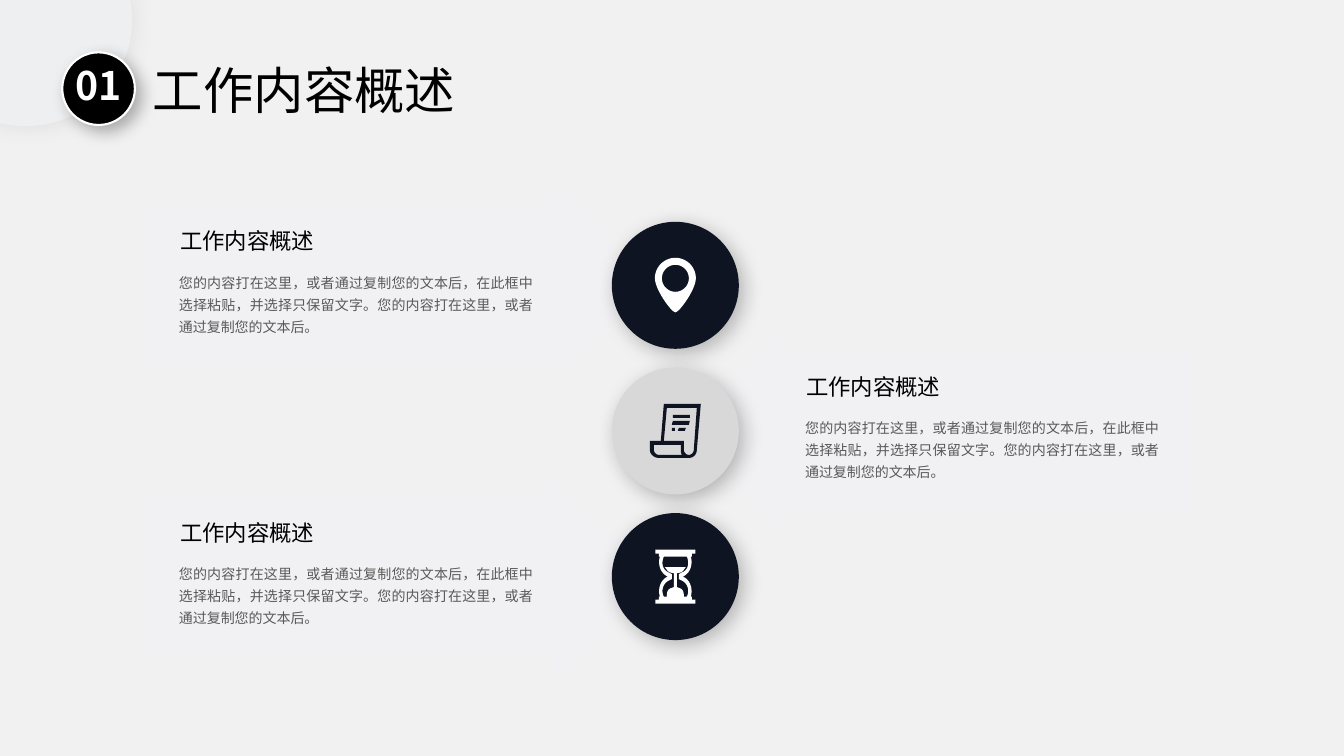
import math
from dataclasses import dataclass

from lxml import etree
from pptx import Presentation
from pptx import util as u
from pptx.dml.color import RGBColor
from pptx.enum import shapes, text
from pptx.oxml.ns import qn


@dataclass(frozen=True)
class Theme:
    """Colours, font and type sizes of the slide."""
    background: str = "F1F1F1"
    corner: str = "EDEFF0"
    arrow: str = "F1F1F3"
    dark: str = "0F1423"
    light: str = "D8D8D8"
    black: str = "000000"
    white: str = "FFFFFF"
    grey: str = "595959"
    font: str = "Noto Sans CJK SC"
    title: int = 36
    number: int = 28
    heading: int = 16
    body: int = 10


THEME = Theme()
HEADING = "工作内容概述"
BODY = ("您的内容打在这里，或者通过复制您的文本后，在此框中选择粘贴，"
        "并选择只保留文字。您的内容打在这里，或者通过复制您的文本后。")


def flatten(steps):
    """Turn points and (x1, y1, x2, y2, x, y) curves into plain points."""
    points = []
    for step in steps:
        if len(step) == 2:
            points.append(step)
            continue
        corners = [points[-1], step[:2], step[2:4], step[4:]]
        for index in range(1, 13):
            t = index / 12
            weights = ((1 - t) ** 3, 3 * t * (1 - t) ** 2, 3 * t * t * (1 - t), t ** 3)
            points.append(tuple(sum(w * corner[axis] for w, corner in zip(weights, corners))
                                for axis in (0, 1)))
    return points


def mirrored(steps):
    """Close a right-hand half outline with its reflection."""
    half = flatten(steps)
    return half + [(-x, y) for x, y in reversed(half)]


def arc(radius, centre_y, start, end):
    """Points along a circular arc, with angles in degrees."""
    angles = [math.radians(start + (end - start) * i / 36) for i in range(37)]
    return [(radius * math.cos(a), centre_y + radius * math.sin(a)) for a in angles]


def pin_outlines():
    """Outlines of the map pin."""
    return [mirrored(arc(20.5, -7, -90, 0) + [(20.5, 4, 4, 27, 0, 27)]),
            arc(13.5, -7, 0, 360)]


def scroll_outlines():
    """Outlines of the paper scroll."""
    contours = [
        [(25.5, -27), (21.5, 19), (21.5, 23, 18.5, 27, 13.5, 27), (-16.5, 27),
         (-21.5, 27, -25.5, 23, -25.5, 19), (-25.5, 10), (-14.5, 10), (-11.5, -27)],
        [(6.5, 24), (5.5, 22, 5.5, 20, 5.5, 19), (5.5, 14), (-21.5, 14), (-21.5, 19),
         (-21.5, 21, -19.5, 24, -16.5, 24)],
        [(21.5, -23), (-8.5, -23), (-11.5, 10), (8.5, 10), (8.5, 19),
         (8.5, 21, 10.5, 24, 13.5, 24), (16.5, 24, 18.5, 21, 18.5, 19)],
        [(14.5, -13), (-2.5, -13), (-2.5, -16), (14.5, -16)],
        [(13.5, -6), (14.5, -10), (-2.5, -10), (-3.5, -6)],
        [(2.5, 0), (9.5, 0), (10.5, -3), (3.5, -3)],
        [(-0.5, 0), (-3.5, 0), (-3.5, -3), (-0.5, -3)],
    ]
    return [flatten(contour) for contour in contours]


def hourglass_outlines():
    """Outlines of the hourglass."""
    frame = [(20, -27), (20, -23), (16.5, -23), (16.5, -20), (15.5, -20),
             (17.5, -13, 15.5, -5, 9.5, -1), (7.5, 0), (9.5, 1),
             (15.5, 5, 17.5, 13, 15.5, 20), (16.5, 20), (16.5, 23), (20, 23), (20, 27)]
    inside = [(11.5, -20), (14.5, -13, 12.5, -7, 7.5, -4.5), (3.5, -2.5), (3.5, 2.5),
              (7.5, 4.5), (12.5, 7.5, 14.5, 14.5, 11.5, 20), (8.5, 20),
              (8.5, 17, 8.5, 14, 5.5, 12), (1.5, 10.5), (1.5, -3.5),
              (3.5, -3.5, 5.5, -4, 7.5, -5.5), (10.5, -9.5)]
    return [mirrored(frame), mirrored(inside)]


def paint(shape, colour, line=None):
    """Fill a shape flat, with an optional outline and no shadow."""
    shape.shadow.inherit = False
    shape.fill.solid()
    shape.fill.fore_color.rgb = RGBColor.from_string(colour)
    if line:
        shape.line.color.rgb = RGBColor.from_string(line)
        shape.line.width = u.Pt(1.5)
    else:
        shape.line.fill.background()


def cast_shadow(shape, opacity, blur, distance):
    """Add a soft shadow towards the lower right."""
    effects = shape._element.spPr.find(qn("a:effectLst"))
    shadow = etree.SubElement(effects, qn("a:outerShdw"), blurRad=str(u.Pt(blur)),
                              dist=str(u.Pt(distance)), dir="2700000", algn="tl", rotWithShape="0")
    colour = etree.SubElement(shadow, qn("a:srgbClr"), val=THEME.black)
    etree.SubElement(colour, qn("a:alpha"), val=str(opacity * 1000))


def add_preset(slide, kind, box, colour, line=None):
    """Place a painted preset shape in a box given in centimetres."""
    shape = slide.shapes.add_shape(kind, *map(u.Cm, box))
    paint(shape, colour, line)
    return shape


def write(shape, words, size, colour, align=text.PP_ALIGN.JUSTIFY, spacing=1.0,
          wrap=True, anchor=text.MSO_ANCHOR.TOP, bold=False):
    """Put one formatted paragraph into a shape."""
    frame = shape.text_frame
    frame.text = words
    frame.word_wrap = wrap
    frame.vertical_anchor = anchor
    frame.auto_size = text.MSO_AUTO_SIZE.SHAPE_TO_FIT_TEXT
    paragraph = frame.paragraphs[0]
    paragraph.alignment = align
    paragraph.line_spacing = spacing
    font = paragraph.runs[0].font
    font.size, font.bold, font.name = u.Pt(size), bold, THEME.font
    font.color.rgb = RGBColor.from_string(colour)
    etree.SubElement(font._element, qn("a:ea"), typeface=THEME.font)


def add_icon(slide, centre_x, centre_y, outlines, colour):
    """Draw outlines as one freeform around a centre in centimetres."""
    fine = 100
    contours = [[(x * fine, y * fine) for x, y in outline] for outline in outlines]
    builder = slide.shapes.build_freeform(*contours[0][0], scale=u.Cm(1.36) / (54 * fine))
    for index, contour in enumerate(contours):
        if index:
            builder.move_to(*contour[0])
        builder.add_line_segments(contour[1:], close=True)
    paint(builder.convert_to_shape(u.Cm(centre_x), u.Cm(centre_y)), colour)


def add_header(slide, left, top):
    """Place the corner disc, numbered badge and title."""
    oval = shapes.MSO_SHAPE.OVAL
    corner = add_preset(slide, oval, (-2.03, -2.18, 5.36, 5.36), THEME.corner)
    cast_shadow(corner, 6, 15, 3)
    badge = add_preset(slide, oval, (left, top, 1.83, 1.83), THEME.black, THEME.white)
    cast_shadow(badge, 30, 12, 6)
    title = slide.shapes.title
    title.left, title.top, title.width, title.height = map(
        u.Cm, (left + 2.03, top + 0.05, 8.97, 1.8))
    write(title, HEADING, THEME.title, THEME.black)
    number = slide.shapes.add_textbox(*map(u.Cm, (left + 0.08, top + 0.33, 1.68, 1.22)))
    write(number, "01", THEME.number, THEME.white, text.PP_ALIGN.CENTER, 0.8,
          wrap=False, bold=True)


def add_arrow_text(slide, left, top, kind, indent):
    """Place a pale arrow with its heading and body text."""
    arrow = add_preset(slide, kind, (left, top, 12.77, 4.93), THEME.arrow)
    arrow.adjustments[0] = 0.815
    heading = slide.shapes.add_textbox(*map(u.Cm, (left + indent, top + 0.88, 3.94, 0.94)))
    write(heading, HEADING, THEME.heading, THEME.black, wrap=False,
          anchor=text.MSO_ANCHOR.MIDDLE)
    body = slide.shapes.add_textbox(*map(u.Cm, (left + indent - 0.03, top + 1.94, 9.42, 1.93)))
    write(body, BODY, THEME.body, THEME.grey, spacing=1.3)


def add_disc(slide, left, top, size, colour, outlines, icon_colour):
    """Place a shadowed disc with its icon in the middle."""
    disc = add_preset(slide, shapes.MSO_SHAPE.OVAL, (left, top, size, size), colour)
    cast_shadow(disc, 25, 15, 5)
    add_icon(slide, left + size / 2, top + size / 2, outlines, icon_colour)


def add_overview(slide, left, top, pitch):
    """Place the three rows, with text on alternating sides of the discs."""
    from_left = (left, shapes.MSO_SHAPE.RIGHT_ARROW, 0.63)
    from_right = (left + 13.59, shapes.MSO_SHAPE.LEFT_ARROW, 2.82)
    for row, (arrow_left, kind, indent) in enumerate((from_left, from_right, from_left)):
        add_arrow_text(slide, arrow_left, top + row * pitch, kind, indent)
    discs = ((THEME.dark, pin_outlines(), THEME.white),
             (THEME.light, scroll_outlines(), THEME.dark),
             (THEME.dark, hourglass_outlines(), THEME.white))
    for row, (colour, outlines, icon_colour) in enumerate(discs):
        add_disc(slide, left + 11.76, top + 0.87 + row * pitch, 3.2,
                 colour, outlines, icon_colour)


def main():
    """Build and save the slide."""
    presentation = Presentation()
    presentation.slide_width, presentation.slide_height = u.Cm(33.87), u.Cm(19.05)
    slide = presentation.slides.add_slide(presentation.slide_layouts[5])
    slide.background.fill.solid()
    slide.background.fill.fore_color.rgb = RGBColor.from_string(THEME.background)
    add_header(slide, left=1.57, top=1.32)
    add_overview(slide, left=3.66, top=4.72, pitch=3.67)
    presentation.save("out.pptx")


if __name__ == "__main__":
    main()
